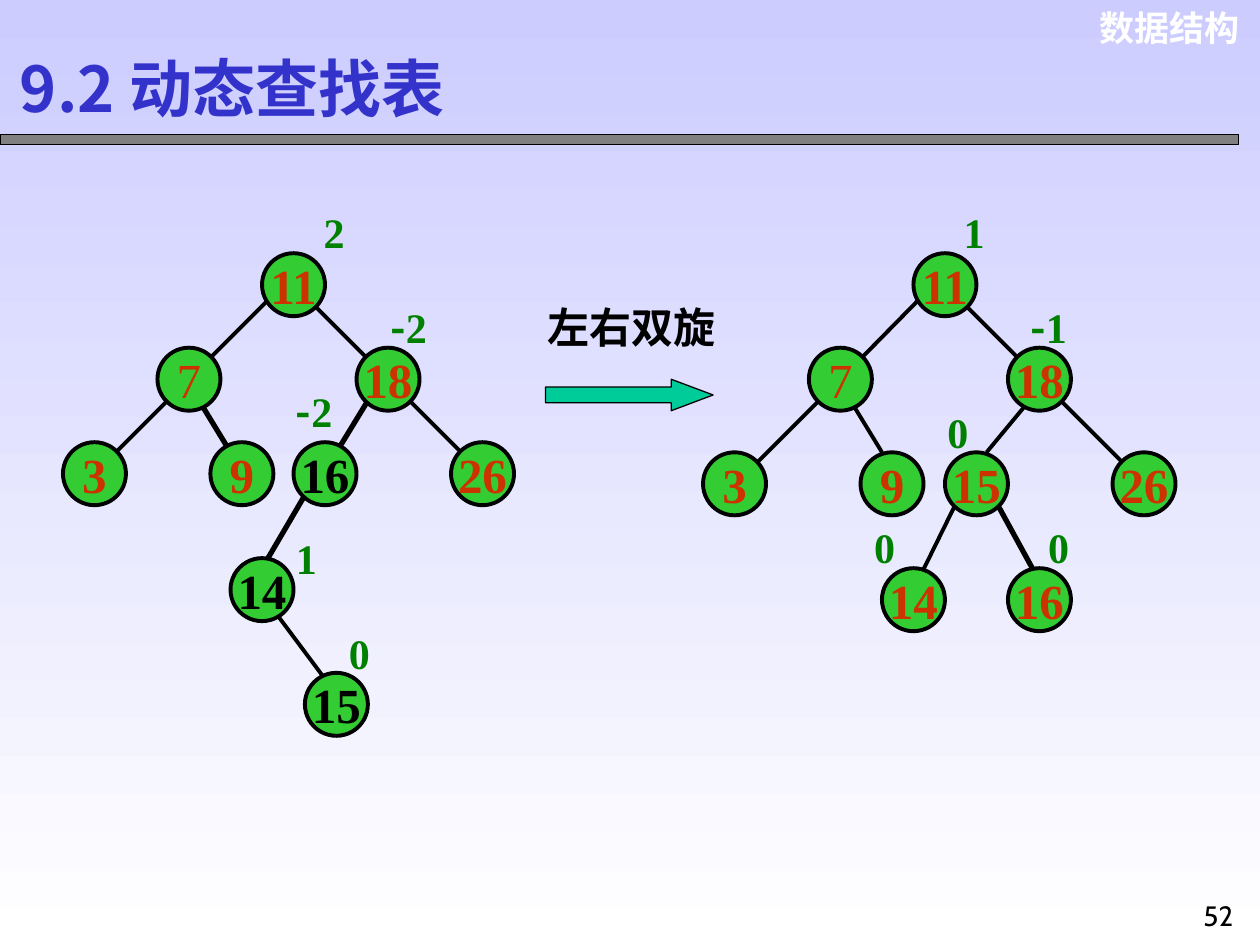
"""Build a slide showing a left-right double rotation of a balanced search tree."""
from lxml import etree
from pptx import Presentation
from pptx.dml.color import RGBColor
from pptx.enum.shapes import MSO_CONNECTOR, MSO_SHAPE
from pptx.enum.text import MSO_ANCHOR, PP_ALIGN
from pptx.oxml.ns import qn
from pptx.util import Inches, Pt

LINE = MSO_CONNECTOR.STRAIGHT
OVAL, BAR, ARROW = MSO_SHAPE.OVAL, MSO_SHAPE.RECTANGLE, MSO_SHAPE.RIGHT_ARROW
MIDDLE = MSO_ANCHOR.MIDDLE
LEFT, CENTER, RIGHT = PP_ALIGN.LEFT, PP_ALIGN.CENTER, PP_ALIGN.RIGHT
SERIF, SANS = "Times New Roman", "Noto Sans CJK SC"
BLACK, RED, GREEN, NODE_FILL = "000000", "CC3300", "008000", "33CC33"
NODE_SIZE = 0.5
THIN, THICK = 2.25, 3

TREES = [
    {
        "nodes": [
            ("11", 2.08, 2.01, RED), ("7", 1.25, 2.76, RED),
            ("18", 2.83, 2.76, RED), ("3", 0.5, 3.51, RED),
            ("9", 1.67, 3.51, RED), ("16", 2.33, 3.51, BLACK),
            ("26", 3.58, 3.51, RED), ("14", 1.83, 4.43, BLACK),
            ("15", 2.42, 5.34, BLACK),
        ],
        "edges": [
            (2.25, 2.26, 1.67, 2.84, THIN), (2.5, 2.43, 3, 2.93, THIN),
            (1.42, 3.09, 0.75, 3.76, THIN), (1.58, 3.18, 1.83, 3.59, THICK),
            (2.92, 3.18, 2.67, 3.59, THICK), (3.25, 3.18, 3.75, 3.68, THIN),
            (2.42, 3.93, 2.08, 4.51, THICK), (2.17, 4.84, 2.67, 5.51, THIN),
        ],
        "balances": [
            ("2", 2.47, 1.59), ("-2", 3, 2.34), ("-2", 2.25, 3.01),
            ("1", 2.25, 4.18), ("0", 2.67, 4.93),
        ],
    },
    {
        "nodes": [
            ("11", 7.25, 2.01, RED), ("7", 6.42, 2.76, RED),
            ("18", 8, 2.76, RED), ("3", 5.58, 3.59, RED),
            ("9", 6.83, 3.59, RED), ("15", 7.5, 3.59, RED),
            ("26", 8.83, 3.59, RED), ("14", 7, 4.51, RED),
            ("16", 8, 4.51, RED),
        ],
        "edges": [
            (7.33, 2.34, 6.75, 2.93, THIN), (7.67, 2.43, 8.17, 2.93, THIN),
            (6.5, 3.18, 6, 3.68, THIN), (6.75, 3.18, 7, 3.59, THIN),
            (8.17, 3.18, 7.83, 3.59, THIN), (8.42, 3.18, 9.17, 3.93, THIN),
            (7.58, 4.01, 7.25, 4.68, THIN), (7.92, 4.01, 8.33, 4.76, THICK),
        ],
        "balances": [
            ("1", 7.55, 1.59), ("-1", 8.08, 2.34), ("0", 7.42, 3.18),
            ("0", 6.84, 4.09), ("0", 8.22, 4.09),
        ],
    },
]

LABELS = [
    ("数据结构", (8.57, 0, 1.37, 0.44), 20, "Arial", "FFFFFF", True, RIGHT),
    ("9.2 动态查找表", (0.06, 0.34, 4, 1.3), 36, SANS, "3333CC", True, LEFT),
    ("左右双旋", (4.25, 2.34, 1.62, 0.5), 24, SERIF, BLACK, True, LEFT),
    ("52", (9.42, 7.08, 0.5, 0.42), 16, "Cabin", BLACK, False, CENTER),
]


def color(value):
    return RGBColor.from_string(value)


def add_run(paragraph, text, size, font, fill, bold):
    run = paragraph.add_run()
    run.text = text
    run.font.size = Pt(size)
    run.font.name = font
    run.font.bold = bold
    run.font.color.rgb = color(fill)
    east_asian = etree.SubElement(run.font._element, qn("a:ea"))
    east_asian.set("typeface", SANS)


def add_box(slide, place, wrap=True, align=LEFT):
    frame = slide.shapes.add_textbox(*map(Inches, place)).text_frame
    frame.word_wrap = wrap
    paragraph = frame.paragraphs[0]
    paragraph.alignment = align
    return paragraph


def add_figure(slide, kind, place, fill, width):
    shape = slide.shapes.add_shape(kind, *map(Inches, place))
    shape.shadow.inherit = False
    shape.fill.solid()
    shape.fill.fore_color.rgb = color(fill)
    shape.line.color.rgb = color(BLACK)
    shape.line.width = Pt(width)
    return shape


def add_edge(slide, *ends, width):
    edge = slide.shapes.add_connector(LINE, *map(Inches, ends))
    edge.line.color.rgb = color(BLACK)
    edge.line.width = Pt(width)
    etree.SubElement(edge._element.spPr, qn("a:effectLst"))


def add_node(slide, key, left, top, fill):
    place = (left, top, NODE_SIZE, NODE_SIZE)
    node = add_figure(slide, OVAL, place, NODE_FILL, THIN)
    frame = node.text_frame
    frame.word_wrap = False
    frame.vertical_anchor = MIDDLE
    paragraph = frame.paragraphs[0]
    paragraph.alignment = CENTER
    add_run(paragraph, key, 28, SERIF, fill, key != "7")


def add_balance(slide, value, left, top):
    negative = value.startswith("-")
    width = 0.62 if negative else 0.36
    paragraph = add_box(slide, (left, top, width, 0.5), wrap=negative)
    if negative:
        add_run(paragraph, "-", 24, SANS, GREEN, True)
    add_run(paragraph, value.lstrip("-"), 24, SERIF, GREEN, True)


def add_tree(slide, tree):
    for *ends, width in tree["edges"]:
        add_edge(slide, *ends, width=width)
    for node in tree["nodes"]:
        add_node(slide, *node)
    for balance in tree["balances"]:
        add_balance(slide, *balance)


def main():
    presentation = Presentation()
    presentation.slide_width = Inches(10)
    presentation.slide_height = Inches(7.5)
    slide = presentation.slides.add_slide(presentation.slide_layouts[6])

    background = slide.background.fill
    background.gradient()
    background.gradient_angle = 270
    for stop, value in zip(background.gradient_stops, ("CCCCFF", "FFFFFF")):
        stop.color.rgb = color(value)

    add_figure(slide, BAR, (0, 1.07, 9.83, 0.08), "808080", 0.75)
    for tree in TREES:
        add_tree(slide, tree)
    arrow = add_figure(slide, ARROW, (4.33, 3.01, 1.33, 0.25), "00CC99", 0.75)
    arrow.adjustments[1] = 1.33
    for text, place, size, font, fill, bold, align in LABELS:
        paragraph = add_box(slide, place, align=align)
        add_run(paragraph, text, size, font, fill, bold)

    presentation.save("out.pptx")


if __name__ == "__main__":
    main()
